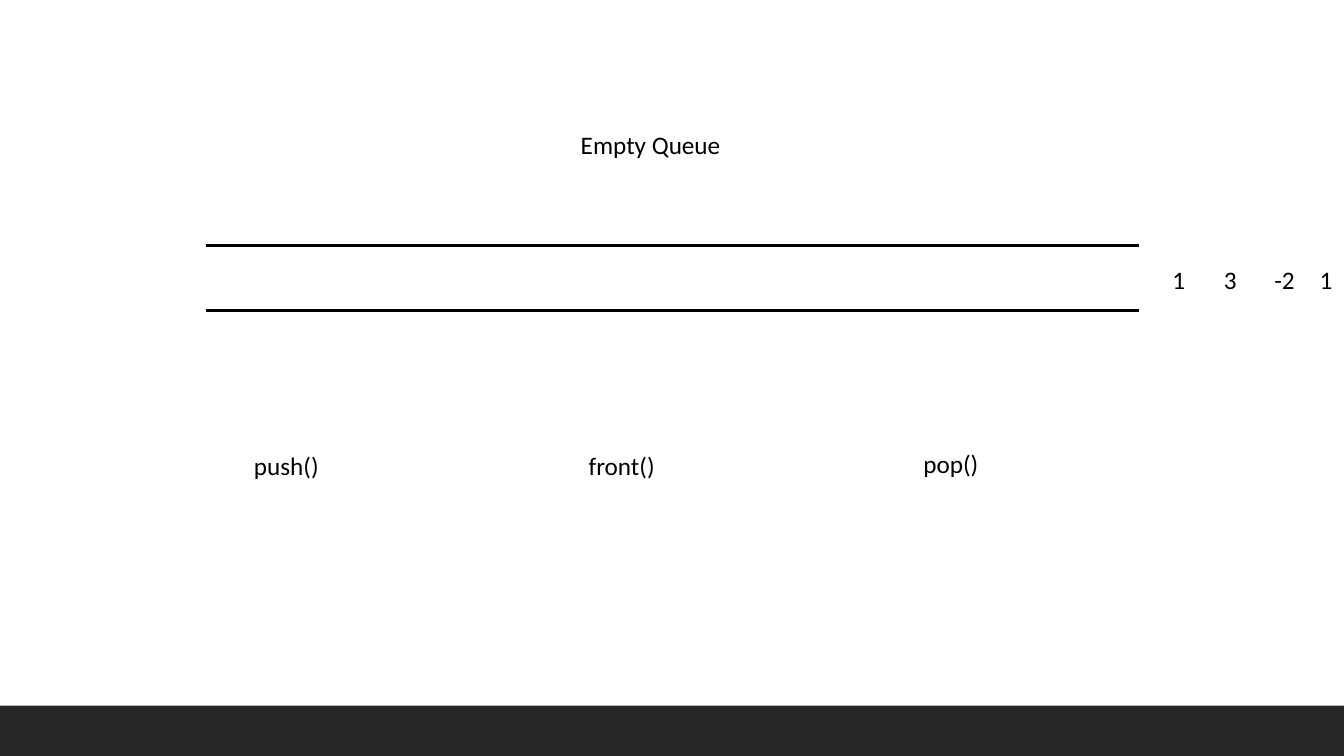
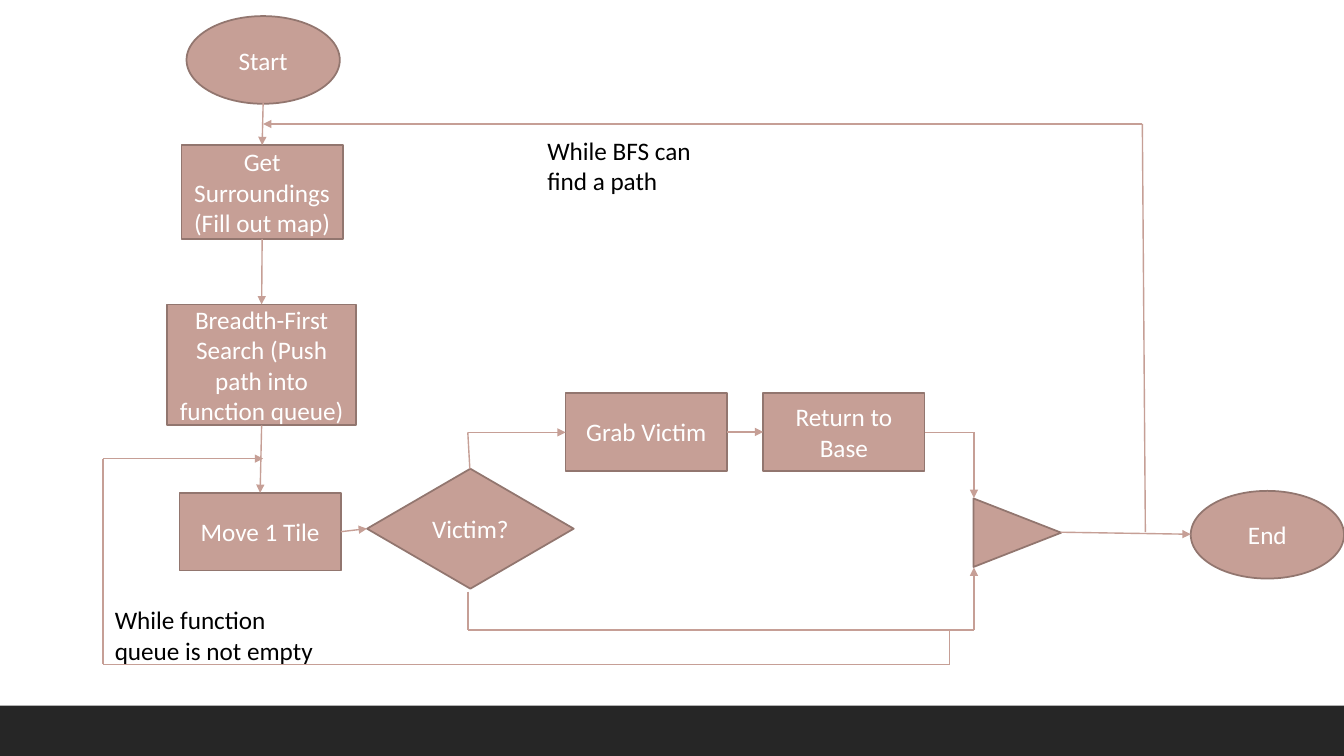
from itertools import pairwise

from lxml.etree import SubElement
from pptx import Presentation
from pptx.dml.color import RGBColor
from pptx.enum.shapes import MSO_CONNECTOR as Connector, MSO_SHAPE as Shape
from pptx.enum.text import MSO_ANCHOR as Anchor, MSO_AUTO_SIZE as AutoSize, PP_ALIGN as Align
from pptx.oxml.ns import qn
from pptx.util import Inches, Pt

BLACK, WHITE, BAND = "000000", "FFFFFF", "262626"
ROSE, ROSE_EDGE = "C69F96", "92766F"


def write(shape, text, color, align=Align.LEFT, anchor=Anchor.TOP):
    frame = shape.text_frame
    frame.text = text
    frame.word_wrap = True
    frame.vertical_anchor = anchor
    para = frame.paragraphs[0]
    para.alignment = align
    para.font.name, para.font.size = "Calibri", Pt(18)
    para.font.color.rgb = RGBColor.from_string(color)


def draw_line(page, start, end, color, width, arrow=False):
    ends = [Inches(value) for value in (*start, *end)]
    line = page.shapes.add_connector(Connector.STRAIGHT, *ends)
    line.line.color.rgb = RGBColor.from_string(color)
    line.line.width = Pt(width)
    if arrow:
        SubElement(line.line._get_or_add_ln(), qn("a:tailEnd"), type="triangle")
    SubElement(line.element.spPr, qn("a:effectLst"))
    return line


deck = Presentation()
deck.slide_width, deck.slide_height = Inches(13.33), Inches(7.5)
queue_page = deck.slides.add_slide(deck.slide_layouts[5])
flow_page = deck.slides.add_slide(deck.slide_layouts[6])

# Footer band, moved to the master so that both slides share it
band = queue_page.shapes.add_shape(
    Shape.RECTANGLE, 0, Inches(7), deck.slide_width, Inches(0.5))
band.shadow.inherit = False
band.fill.solid()
band.fill.fore_color.rgb = RGBColor.from_string(BAND)
band.line.fill.background()
band.element.nvSpPr.cNvPr.set("id", "99")
deck.slide_master.shapes.element.append(band.element)

# Slide 1: the empty queue
title = queue_page.shapes.title
title.left, title.top = Inches(5.66), Inches(1.23)
title.width, title.height = Inches(2.02), Inches(0.4)
write(title, "Empty Queue", BLACK)
title.text_frame.auto_size = AutoSize.SHAPE_TO_FIT_TEXT

for y in (2.44, 3.08):
    draw_line(queue_page, (2.04, y), (11.3, y), BLACK, 2.25)

# Loose labels of both slides
labels = [
    (queue_page, "1", 11.53, 2.57, 0.34, 0.4),
    (queue_page, "3", 12.04, 2.57, 0.34, 0.4),
    (queue_page, "-2", 12.54, 2.57, 0.56, 0.4),
    (queue_page, "1", 12.99, 2.57, 0.34, 0.4),
    (queue_page, "push()", 2.42, 4.42, 1, 0.4),
    (queue_page, "front()", 5.74, 4.42, 1, 0.4),
    (queue_page, "pop()", 9.06, 4.4, 1, 0.4),
    (flow_page, "While function queue is not empty", 1.04, 5.95, 2.2, 0.71),
    (flow_page, "While BFS can find a path", 5.33, 1.29, 1.85, 0.71),
]
for page, text, *place in labels:
    label = page.shapes.add_textbox(*[Inches(value) for value in place])
    write(label, text, BLACK)
    label.text_frame.auto_size = AutoSize.SHAPE_TO_FIT_TEXT

# Slide 2: the steps of the flow chart
steps = [
    ("start", Shape.OVAL, "Start", 1.85, 0.16, 1.52, 0.87),
    ("map", Shape.RECTANGLE, "Get Surroundings (Fill out map)", 1.8, 1.44, 1.6, 0.93),
    ("search", Shape.RECTANGLE, "Breadth-First Search (Push path into function queue)",
     1.66, 3.02, 1.87, 1.2),
    ("move", Shape.RECTANGLE, "Move 1 Tile", 1.78, 4.89, 1.6, 0.77),
    ("victim", Shape.DIAMOND, "Victim?", 3.64, 4.65, 2.05, 1.19),
    ("grab", Shape.RECTANGLE, "Grab Victim", 5.61, 3.9, 1.6, 0.77),
    ("return", Shape.RECTANGLE, "Return to Base", 7.57, 3.9, 1.6, 0.77),
    ("merge", Shape.ISOSCELES_TRIANGLE, "", 9.75, 4.85, 0.68, 0.87),
    ("end", Shape.OVAL, "End", 11.81, 4.87, 1.52, 0.87),
]
boxes = {}
for name, kind, text, *place in steps:
    box = flow_page.shapes.add_shape(kind, *[Inches(value) for value in place])
    box.shadow.inherit = False
    box.fill.solid()
    box.fill.fore_color.rgb = RGBColor.from_string(ROSE)
    box.line.color.rgb = RGBColor.from_string(ROSE_EDGE)
    box.line.width = Pt(1.25)
    if text:
        write(box, text, WHITE, Align.CENTER, Anchor.MIDDLE)
    boxes[name] = box
boxes["merge"].rotation = 90

# Arrows glued to neighbouring steps (sites: 0 top, 1 left, 2 bottom, 3 right)
links = [
    ("map", 2, "search", 0),
    ("search", 2, "move", 0),
    ("move", 3, "victim", 1),
    ("grab", 3, "return", 1),
]
for source, source_site, target, target_site in links:
    arrow = draw_line(flow_page, (0, 0), (1, 1), ROSE, 1, arrow=True)
    arrow.begin_connect(boxes[source], source_site)
    arrow.end_connect(boxes[target], target_site)

# Routes with corners; the last leg of each carries the arrowhead
routes = [
    [(2.61, 1.02), (2.6, 1.44)],
    [(4.66, 4.65), (4.64, 4.29), (5.61, 4.29)],
    [(9.17, 4.29), (9.66, 4.29), (9.66, 4.94)],
    [(4.64, 5.87), (4.64, 6.25), (9.66, 6.25), (9.66, 5.63)],
    [(10.52, 5.28), (11.81, 5.3)],
    [(9.42, 6.25), (9.42, 6.59), (1.02, 6.59), (1.02, 4.55), (2.61, 4.55)],
    [(11.36, 5.28), (11.33, 1.23), (2.61, 1.23)],
]
for route in routes:
    for start, end in pairwise(route):
        draw_line(flow_page, start, end, ROSE, 1, arrow=end == route[-1])

deck.save("out.pptx")
